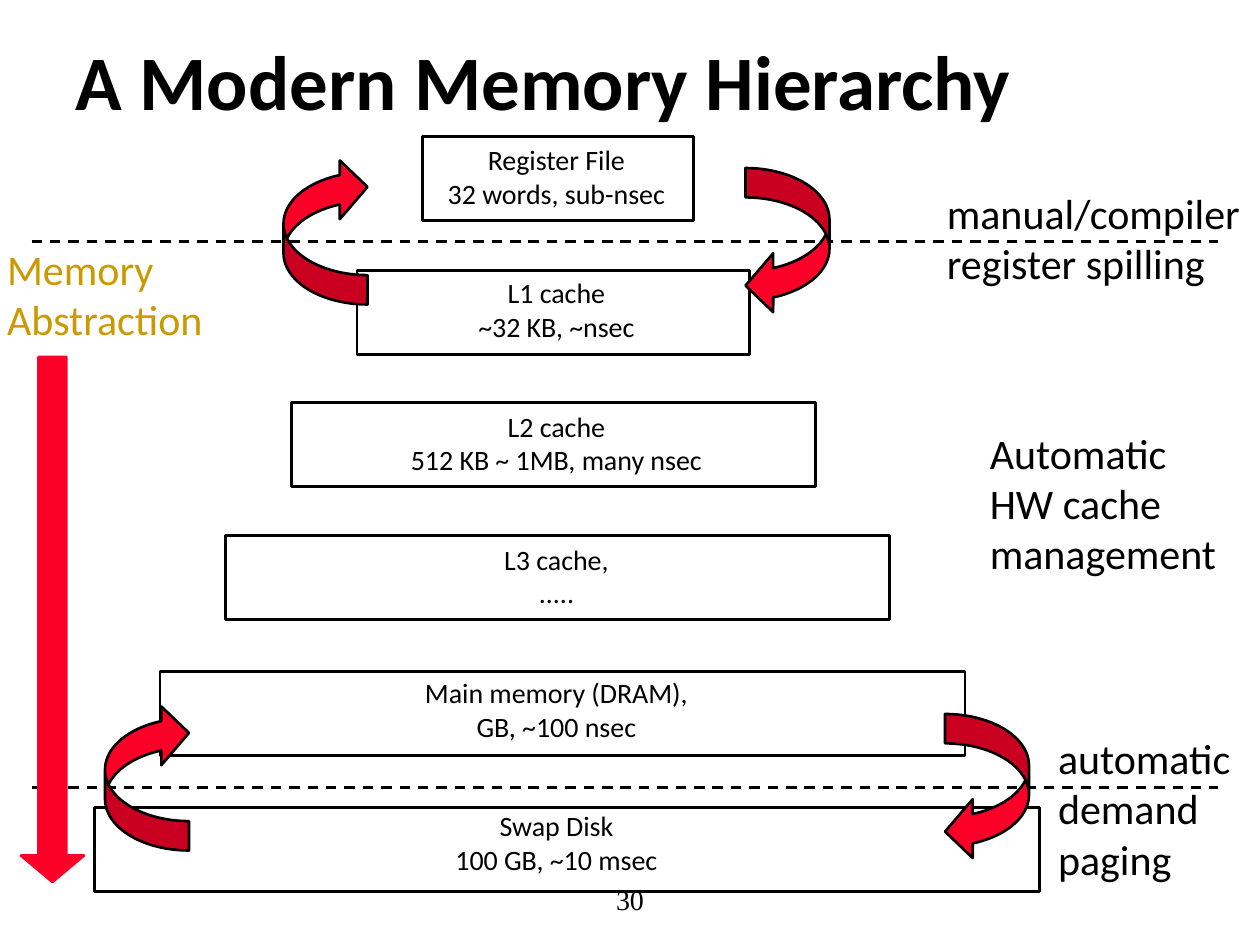
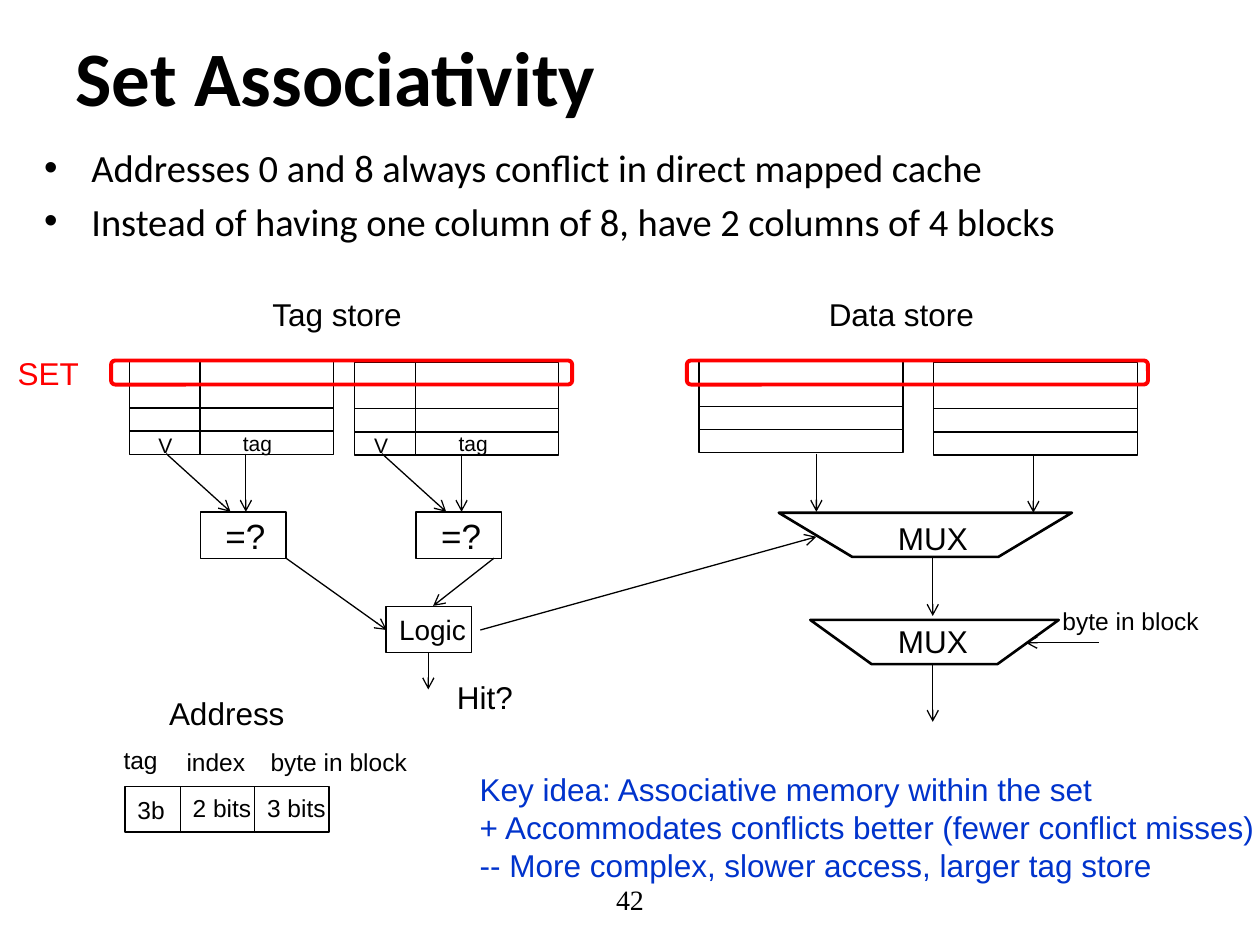
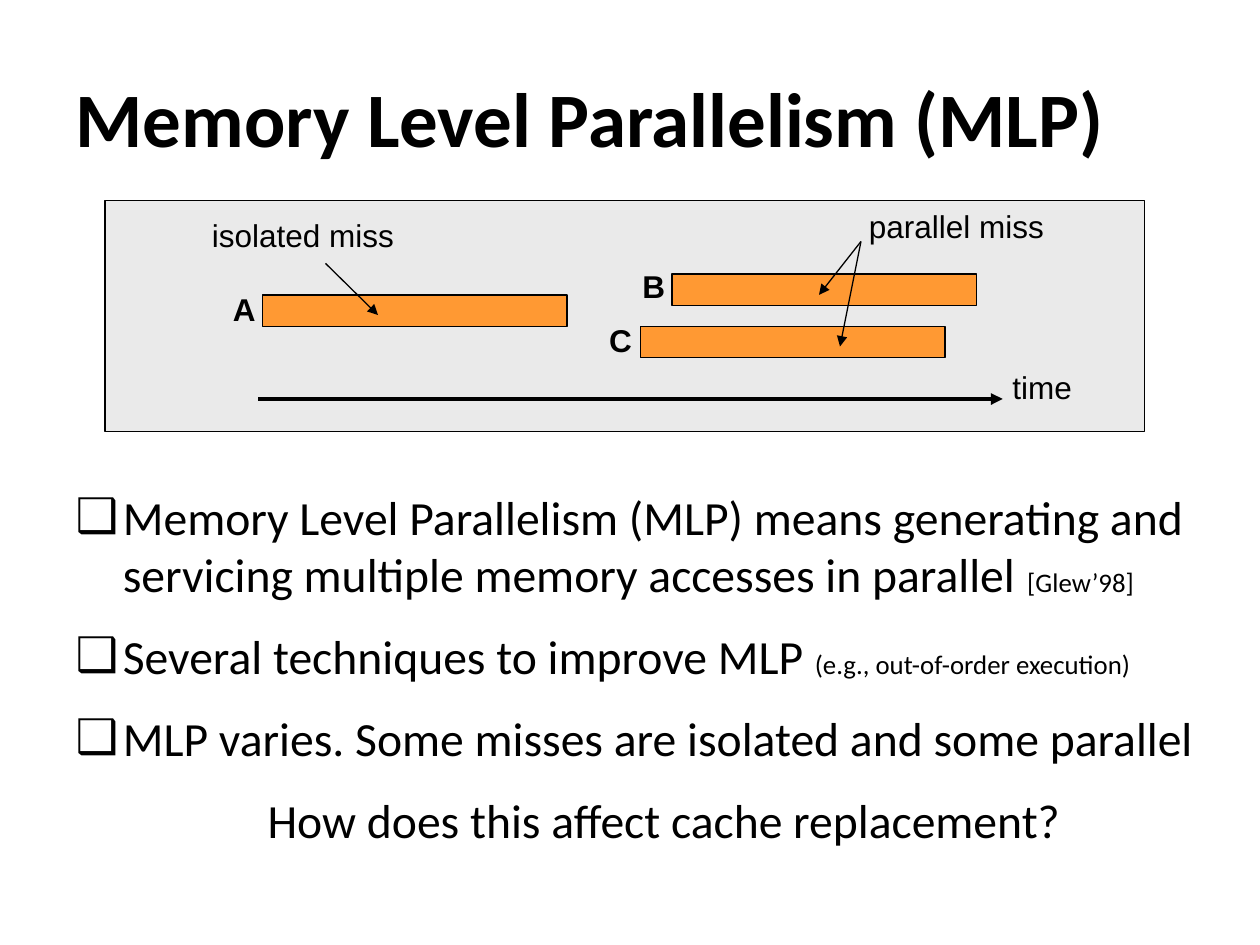
from lxml import etree
from pptx import Presentation
from pptx.dml.color import RGBColor
from pptx.enum.dml import MSO_LINE
from pptx.enum.shapes import MSO_CONNECTOR, MSO_SHAPE
from pptx.enum.text import MSO_ANCHOR, MSO_AUTO_SIZE, PP_ALIGN
from pptx.oxml.ns import qn
from pptx.util import Pt

RECT = MSO_SHAPE.RECTANGLE
ROUND = MSO_SHAPE.ROUNDED_RECTANGLE
CURVE = MSO_SHAPE.CURVED_LEFT_ARROW
DOWN = MSO_SHAPE.DOWN_ARROW
STRAIGHT = MSO_CONNECTOR.STRAIGHT
DASH = MSO_LINE.DASH
LEFT, CENTER = PP_ALIGN.LEFT, PP_ALIGN.CENTER
TOP, MIDDLE = MSO_ANCHOR.TOP, MSO_ANCHOR.MIDDLE
FIXED = MSO_AUTO_SIZE.NONE

COLORS = {
    "black": "000000", "red": "FC0128", "pure": "FF0000", "gold": "CC9900",
    "blue": "0033CC", "gray": "EAEAEA", "orange": "FF9933",
}
FONTS = {
    "title": {"name": "Calibri", "size": Pt(44), "bold": True},
    "text": {"name": "Calibri", "bold": False},
    "label": {"name": "Arial", "bold": False},
    "strong": {"name": "Arial", "bold": True},
    "number": {"name": "Times New Roman", "size": Pt(16)},
}
FRAME = {"auto_size": FIXED, "vertical_anchor": TOP, "word_wrap": True}
HANG = 27

LEVELS = [
    ("Register File", "32 words, sub-nsec", 78, 155),
    ("L1 cache", "~32 KB, ~nsec", 154.5, 224.5),
    ("L2 cache", "512 KB ~ 1MB, many nsec", 230, 299.5),
    ("L3 cache,", ".....", 306, 379.5),
    ("Main memory (DRAM),", "GB, ~100 nsec", 383.75, 460),
    ("Swap Disk", "100 GB, ~10 msec", 461.5, 540),
]
BORDERS = [138, 450]
SWAPS = [(426, 96, 0), (540, 408, 0), (162, 90, 180), (60, 402, 180)]
ROLES = [
    ("manual/compiler\nregister spilling", 534, 103.5, 184.5, "black"),
    ("automatic\ndemand\npaging", 597.5, 415, 114.5, "black"),
    ("Automatic\nHW cache\nmanagement", 558.5, 240.5, 148.5, "black"),
    ("Memory\nAbstraction", -3, 135.5, 127.5, "gold"),
]

POINTS = [
    ("•", [("Addresses 0 and 8 always conflict in direct mapped cache", 22)]),
    ("•", [("Instead of having one column of 8, have 2 columns of 4 blocks", 22)]),
]
STORES = [(74, 206.75), (202.5, 207.25), (399.5, 206), (533.5, 207.25)]
WAYS = [0, 123.25]
WAY_TEXT = [
    ("V", 83.5, 243.5, 22.5, 12),
    ("tag", 131.75, 242.25, 31.75, 12),
    ("=?", 121.75, 290.25, 37.5, 20),
]
WAY_FLOWS = [(140.5, 259.25, 140.5, 292.5), (95, 259.25, 131.75, 292.5)]
FLOWS = [
    (590.5, 260, 590.5, 293), (466.5, 259.25, 466.5, 292.5),
    (163.5, 319, 221, 360), (282.25, 319, 247.5, 346.25),
    (274.5, 360, 466.5, 306.75), (533, 319, 533, 352),
    (628, 367.25, 586, 367.25), (533, 379.5, 533, 412.5),
    (244.75, 373, 244.75, 394),
]
CUTS = [103, 145.5]
MUXES = [(445, 293, 167.5, 42), (463, 354.25, 142, 35)]
SETS = [63.5, 392.5]
LABELS = [
    ("Tag store", 148.5, 165, 89.5, 18, "black"),
    ("Data store", 466.5, 165, 98, 18, "black"),
    ("Address", 89.5, 393, 81.5, 18, "black"),
    ("tag", 63.5, 422, 34, 14, "black"),
    ("index", 99.5, 423.5, 48, 14, "black"),
    ("byte in block", 147.5, 423.5, 93, 14, "black"),
    ("3b", 71.5, 450.75, 30, 14, "black"),
    ("2 bits", 103, 449.5, 48, 14, "black"),
    ("3 bits", 145.5, 449.5, 48, 14, "black"),
    ("Logic", 221, 346.25, 53.5, 16, "black"),
    ("MUX", 506, 293, 54.75, 18, "black"),
    ("MUX", 506, 352, 54.75, 18, "black"),
    ("byte in block", 600, 342.75, 93, 14, "black"),
    ("Hit?", 254, 383.75, 47, 18, "black"),
    ("SET", 3, 198.75, 49.5, 18, "pure"),
    ("Key idea: Associative memory within the set\n"
     "+ Accommodates conflicts better (fewer conflict misses)\n"
     "-- More complex, slower access, larger tag store",
     267, 436.5, 461.5, 18, "blue"),
]

CLAIMS = [
    ("❑", [("Memory Level Parallelism (MLP) means generating and servicing "
            "multiple memory accesses in parallel ", 27.2), ("[Glew’98]", 15.3)]),
    ("❑", [("Several techniques to improve MLP ", 27.2),
           ("(e.g., out-of-order execution)", 15.3)]),
    ("❑", [("MLP varies. Some misses are isolated and some parallel", 27.2)]),
    ("", [("How does this affect cache replacement?", 27.2)]),
]
MISSES = [
    ("A", 126, 162, 150, 168.5),
    ("B", 360, 149, 384, 156.5),
    ("C", 341, 180, 366, 186.5),
]
NOTES = [
    ("time", 571.5, 206.5, 66),
    ("isolated miss", 114, 120, 162),
    ("parallel miss", 489.5, 114.5, 150),
]
HINTS = [(186, 150.5, 216, 180), (492, 138, 468, 168.5), (492, 138, 480, 198)]


def rgb(color):
    return RGBColor.from_string(COLORS[color])


def apply(item, values):
    for key, value in values.items():
        setattr(item, key, value)


def add_run(para, text, font, color="black", size=None):
    run = para.add_run()
    run.text = text
    apply(run.font, FONTS[font])
    run.font.color.rgb = rgb(color)
    if size:
        run.font.size = Pt(size)


def place(item, x, y, w, h):
    apply(item, {"left": Pt(x), "top": Pt(y), "width": Pt(w), "height": Pt(h)})


def add_text(slide, text, x, y, w, size, color="black", font="label", wrap=False):
    lines = text.split("\n")
    high = len(lines) * size * 1.2 + 7.2
    frame = slide.shapes.add_textbox(Pt(x), Pt(y), Pt(w), Pt(high)).text_frame
    apply(frame, {**FRAME, "word_wrap": wrap})
    for i, line in enumerate(lines):
        para = frame.paragraphs[0] if i == 0 else frame.add_paragraph()
        add_run(para, line, font, color, size)
    return frame


def paint(shape, fill, color, width):
    shape.shadow.inherit = False
    if fill:
        shape.fill.solid()
        shape.fill.fore_color.rgb = rgb(fill)
    else:
        shape.fill.background()
    shape.line.color.rgb = rgb(color)
    shape.line.width = Pt(width)


def add_box(slide, x, y, w, h, fill=None, color="black", width=0.75, kind=RECT, adj=()):
    shape = slide.shapes.add_shape(kind, Pt(x), Pt(y), Pt(w), Pt(h))
    for i, value in enumerate(adj):
        shape.adjustments[i] = value
    paint(shape, fill, color, width)
    return shape


def add_line(slide, ends, width=0.75, head=None, dash=None):
    line = slide.shapes.add_connector(STRAIGHT, *map(Pt, ends))
    line.line.color.rgb = rgb("black")
    line.line.width = Pt(width)
    if dash:
        line.line.dash_style = dash
    props = line.element.spPr
    if head:
        etree.SubElement(props.find(qn("a:ln")), qn("a:tailEnd"), type=head)
    etree.SubElement(props, qn("a:effectLst"))


def add_mux(slide, x, y, w, inset):
    high = 25.25
    pen = slide.shapes.build_freeform(Pt(x), Pt(y))
    spots = [(x + w, y), (x + w - inset, y + high), (x + inset, y + high)]
    pen.add_line_segments([(Pt(a), Pt(b)) for a, b in spots], close=True)
    paint(pen.convert_to_shape(), None, "black", 1.5)


def start(deck, layout, title, top, number=None):
    slide = deck.slides.add_slide(deck.slide_layouts[layout])
    head = slide.shapes.title
    place(head, 36, top, 648, 90)
    apply(head.text_frame, {**FRAME, "vertical_anchor": MIDDLE})
    para = head.text_frame.paragraphs[0]
    para.alignment = LEFT
    add_run(para, title, "title")
    if number:
        frame = add_text(slide, number, 246, 500.5, 228, 16, font="number", wrap=True)
        frame.vertical_anchor = MIDDLE
        frame.paragraphs[0].alignment = CENTER
    return slide


def fill_body(slide, box, items, gap):
    body = slide.placeholders[1]
    place(body, *box)
    frame = body.text_frame
    apply(frame, FRAME)
    for i, (mark, runs) in enumerate(items):
        para = frame.paragraphs[0] if i == 0 else frame.add_paragraph()
        para.space_before = Pt(gap if i else 0)
        para.alignment = LEFT if mark else CENTER
        props = para._p.get_or_add_pPr()
        props.set("marL", str(Pt(HANG)))
        props.set("indent", str(Pt(-HANG if mark else 0)))
        if mark:
            etree.SubElement(props, qn("a:buChar"), char=mark)
        else:
            etree.SubElement(props, qn("a:buNone"))
        for text, size in runs:
            add_run(para, text, "text", size=size)


def draw_levels(deck):
    slide = start(deck, 5, "A Modern Memory Hierarchy", 0.75, "30")
    lines = "\n".join(f"{name}\n{size}" for name, size, _, _ in LEVELS)
    frame = add_text(slide, lines, 12, 78, 612, 16, font="text", wrap=True)
    for i, para in enumerate(frame.paragraphs):
        para.alignment = CENTER
        para.space_before = Pt(37.75 if i and i % 2 == 0 else 0)
    for i, (_, _, top, wide) in enumerate(LEVELS):
        add_box(slide, 241.5 - 37.5 * i, top, wide, 48, width=1.5)
    for y in BORDERS:
        add_line(slide, (18, y, 696, y), 1.5, dash=DASH)
    for x, y, turn in SWAPS:
        swap = add_box(slide, x, y, 48, 84, "red", width=1.5, kind=CURVE,
                       adj=(0.35, 0.7, 0.33))
        swap.rotation = turn
    for text, x, y, w, color in ROLES:
        add_text(slide, text, x, y, w, 24, color, "text")
    add_box(slide, 12, 204, 36, 300, "red", "red", 1.5, DOWN, (0.44, 0.42))


def draw_sets(deck):
    slide = start(deck, 1, "Set Associativity", -1.5, "42")
    fill_body(slide, (18, 78.5, 678, 409), POINTS, 4.4)
    for x, y in STORES:
        for row in range(4):
            add_box(slide, x, y + 13.2 * row, 116.5, 13.2)
    for dx in WAYS:
        add_line(slide, (114.25 + dx, 206.5, 114.25 + dx, 260))
        add_box(slide, 114.5 + dx, 292.5, 49, 26.5)
        for text, x, y, w, size in WAY_TEXT:
            add_text(slide, text, x + dx, y, w, size)
        for x, y, end, low in WAY_FLOWS:
            add_line(slide, (x + dx, y, end + dx, low), head="arrow")
    add_box(slide, 71.5, 449.5, 116.5, 26)
    for x in CUTS:
        add_line(slide, (x, 449.5, x, 475.5))
    add_box(slide, 220.5, 346.5, 49, 26.5)
    for mux in MUXES:
        add_mux(slide, *mux)
    for ends in FLOWS:
        add_line(slide, ends, head="arrow")
    for label in LABELS:
        add_text(slide, *label)
    for x in SETS:
        add_box(slide, x, 206, 263.5, 13.75, None, "pure", 2.25, ROUND, (0.17,))


def draw_misses(deck):
    slide = start(deck, 1, "Memory Level Parallelism (MLP)", 21.5)
    fill_body(slide, (36, 275, 660, 210), CLAIMS, 14.2)
    add_box(slide, 60, 114.5, 594, 132, "gray")
    for name, x, y, left, top in MISSES:
        add_box(slide, left, top, 174, 18, "orange")
        add_text(slide, name, x, y, 48, 18, font="strong", wrap=True)
    add_line(slide, (147.5, 228, 573, 228), 2.25, "triangle")
    for text, x, y, w in NOTES:
        add_text(slide, text, x, y, w, 18, wrap=True)
    for ends in HINTS:
        add_line(slide, ends, head="triangle")


def main():
    deck = Presentation()
    apply(deck, {"slide_width": Pt(720), "slide_height": Pt(540)})
    for draw in (draw_levels, draw_sets, draw_misses):
        draw(deck)
    deck.save("out.pptx")


if __name__ == "__main__":
    main()
